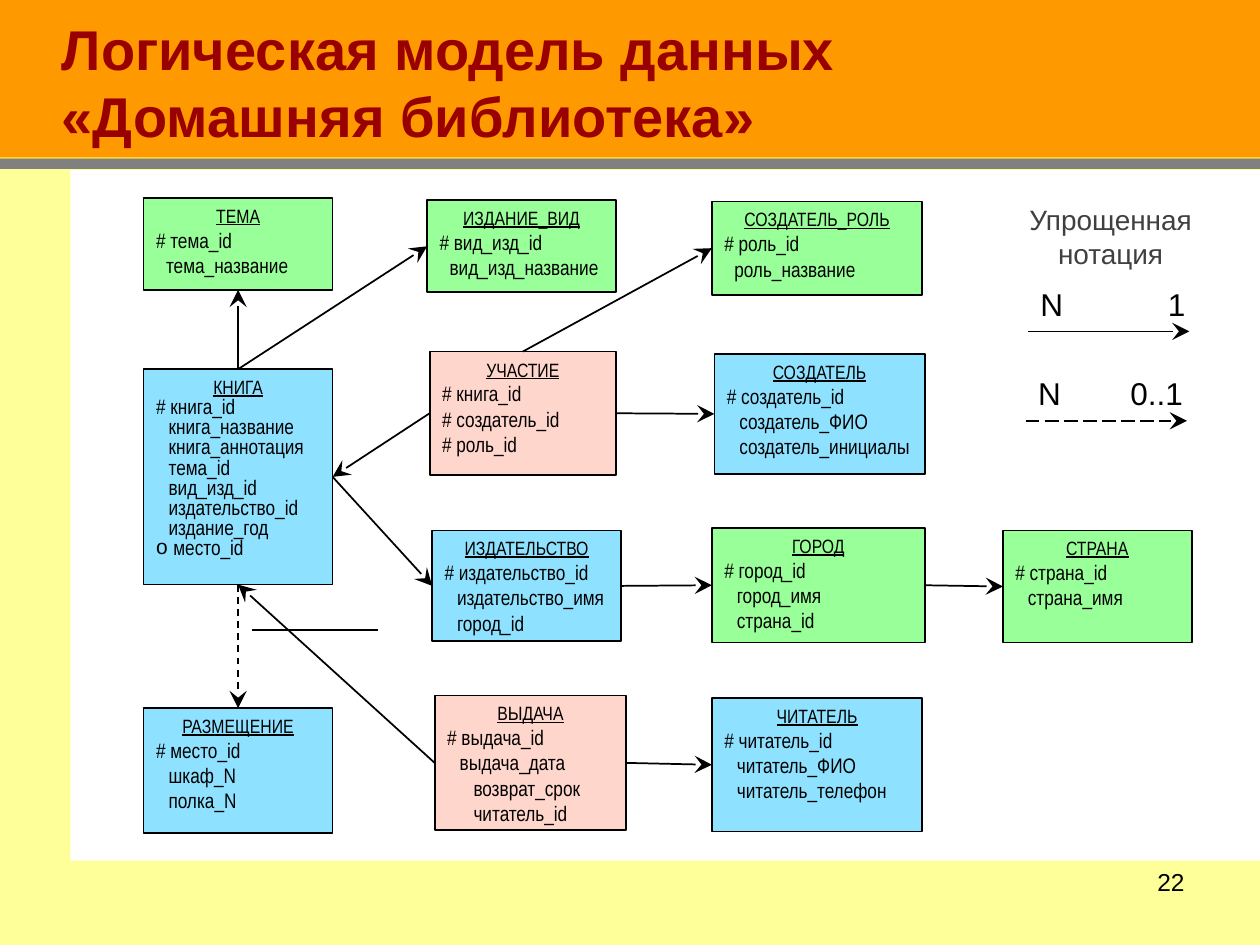
from lxml import etree
from pptx import Presentation, util as u
from pptx.dml.color import RGBColor
from pptx.enum import dml, shapes, text
from pptx.oxml.ns import qn

Inches, Pt = u.Inches, u.Pt
COLORS = {
    "orange": "FF9900", "yellow": "FFFF99", "gold": "FFCC00", "gray": "808080",
    "white": "FFFFFF", "black": "000000", "maroon": "990000", "dark": "404040",
    "blue": "8FE2FF", "green": "99FF99", "pink": "FFD6CC",
}
TOP, LEFT, BOTTOM, RIGHT = range(4)  # connection sites of a rectangle


def rgb(name):
    return RGBColor.from_string(COLORS[name])


def add_span(para, words, size, font="Arial", color="black"):
    span = para.add_run()
    span.text = words
    span.font.size, span.font.name = Pt(size), font
    span.font.color.rgb = rgb(color)
    return span


deck = Presentation()
deck.slide_width, deck.slide_height = Inches(10), Inches(7.5)
page = deck.slides.add_slide(deck.slide_layouts[5])
page.background.fill.solid()
page.background.fill.fore_color.rgb = rgb("yellow")

# Bands and the white working area
for left, top, width, height, color in [
    (0, 0, 10, 1.25, "orange"),
    (0, 1.25, 10, 0.01, "gold"),
    (0, 1.26, 10, 0.08, "gray"),
    (0.56, 1.35, 9.44, 5.48, "white"),
]:
    band = page.shapes.add_shape(shapes.MSO_SHAPE.RECTANGLE, Inches(left), Inches(top),
                                 Inches(width), Inches(height))
    band.shadow.inherit = False
    band.fill.solid()
    band.fill.fore_color.rgb = rgb(color)
    band.line.fill.background()

title = page.shapes.title
page.shapes._spTree.append(title._element)  # above the bands
title.left, title.top = Inches(0), Inches(0.06)
title.width, title.height = Inches(10), Inches(1.17)
title.fill.solid()
title.fill.fore_color.rgb = rgb("orange")
title.text_frame.vertical_anchor = text.MSO_ANCHOR.BOTTOM
title.text_frame.auto_size = text.MSO_AUTO_SIZE.NONE
para = title.text_frame.paragraphs[0]
para.alignment = text.PP_ALIGN.LEFT
para._p.get_or_add_pPr().set("marL", str(Inches(0.39)))
add_span(para, "Логическая модель данных", 32, color="maroon").font.bold = True
para.add_line_break()
add_span(para, "«Домашняя библиотека»", 32, color="maroon").font.bold = True

# Entities: name, left, top, width, height, colour, [(indent, attribute)]
entities = [
    ("КНИГА", 1.14, 2.93, 1.5, 1.71, "blue", [
        (0, "# книга_id"), (0.1, "книга_название"), (0.1, "книга_аннотация"),
        (0.1, "тема_id"), (0.1, "вид_изд_id"), (0.1, "издательство_id"),
        (0.1, "издание_год"), (0.1, " место_id")]),
    ("ЧИТАТЕЛЬ", 5.65, 5.54, 1.67, 1.06, "blue", [
        (0, "# читатель_id"), (0.1, "читатель_ФИО"), (0.1, "читатель_телефон")]),
    ("ИЗДАТЕЛЬСТВО", 3.43, 4.21, 1.5, 0.88, "blue", [
        (0, "# издательство_id"), (0.1, "издательство_имя"), (0.1, "город_id")]),
    ("РАЗМЕЩЕНИЕ", 1.14, 5.62, 1.5, 0.99, "blue", [
        (0, "# место_id"), (0.1, "шкаф_N"), (0.1, "полка_N")]),
    ("СОЗДАТЕЛЬ_РОЛЬ", 5.65, 1.6, 1.67, 0.74, "green", [
        (0, "# роль_id"), (0.08, "роль_название")]),
    ("ИЗДАНИЕ_ВИД", 3.39, 1.59, 1.5, 0.73, "green", [
        (0, "# вид_изд_id"), (0.08, "вид_изд_название")]),
    ("ТЕМА", 1.14, 1.57, 1.5, 0.73, "green", [
        (0, "# тема_id"), (0.08, "тема_название")]),
    ("ГОРОД", 5.65, 4.19, 1.69, 0.91, "green", [
        (0, "# город_id"), (0.1, "город_имя"), (0.1, "страна_id")]),
    ("СТРАНА", 7.96, 4.21, 1.5, 0.89, "green", [
        (0, "# страна_id"), (0.1, "страна_имя")]),
    ("УЧАСТИЕ", 3.41, 2.79, 1.48, 0.98, "pink", [
        (0, "# книга_id"), (0, "# создатель_id"), (0, "# роль_id")]),
    ("СОЗДАТЕЛЬ", 5.67, 2.81, 1.67, 0.95, "blue", [
        (0, "# создатель_id"), (0.1, "создатель_ФИО"), (0.1, "создатель_инициалы")]),
    ("ВЫДАЧА", 3.45, 5.52, 1.52, 1.07, "pink", [
        (0, "# выдача_id"), (0.1, "выдача_дата"), (0.21, "возврат_срок"),
        (0.21, "читатель_id")]),
]
boxes = {}
for name, left, top, width, height, color, attributes in entities:
    box = page.shapes.add_shape(shapes.MSO_SHAPE.RECTANGLE, Inches(left), Inches(top),
                                Inches(width), Inches(height))
    boxes[name] = box
    box.shadow.inherit = False
    box.fill.solid()
    box.fill.fore_color.rgb = rgb(color)
    box.line.color.rgb, box.line.width = rgb("black"), Pt(1)
    frame = box.text_frame
    frame.word_wrap = True
    frame.vertical_anchor = text.MSO_ANCHOR.TOP
    para = frame.paragraphs[0]
    para.alignment = text.PP_ALIGN.CENTER
    add_span(para, name, 11, "Arial Narrow").font.underline = True
    for indent, attribute in attributes:
        para = frame.add_paragraph()
        para.alignment = text.PP_ALIGN.LEFT
        para._p.get_or_add_pPr().set("marL", str(Inches(indent)))
        if name == "КНИГА":
            para.line_spacing = 0.8
        add_span(para, attribute, 12, "Arial Narrow")

# The optional attribute of the book, its last one, is marked with "o"
props = boxes["КНИГА"].text_frame.paragraphs[-1]._p.get_or_add_pPr()
props.set("indent", str(Inches(-0.1)))
etree.SubElement(props, qn("a:buFont")).set("typeface", "Arial")
etree.SubElement(props, qn("a:buChar")).set("char", "o")

# Relations run from the N side to the 1 side
arrows = []
for source, start, target, end in [
    ("КНИГА", TOP, "ТЕМА", BOTTOM),
    ("КНИГА", TOP, "ИЗДАНИЕ_ВИД", LEFT),
    ("КНИГА", RIGHT, "ИЗДАТЕЛЬСТВО", LEFT),
    ("КНИГА", BOTTOM, "РАЗМЕЩЕНИЕ", TOP),
    ("УЧАСТИЕ", TOP, "СОЗДАТЕЛЬ_РОЛЬ", LEFT),
    ("УЧАСТИЕ", LEFT, "КНИГА", RIGHT),
    ("УЧАСТИЕ", RIGHT, "СОЗДАТЕЛЬ", LEFT),
    ("ИЗДАТЕЛЬСТВО", RIGHT, "ГОРОД", LEFT),
    ("ГОРОД", RIGHT, "СТРАНА", LEFT),
    ("ВЫДАЧА", LEFT, "КНИГА", BOTTOM),
    ("ВЫДАЧА", RIGHT, "ЧИТАТЕЛЬ", LEFT),
]:
    arrow = page.shapes.add_connector(shapes.MSO_CONNECTOR.STRAIGHT, 0, 0, 0, 0)
    arrow.begin_connect(boxes[source], start)
    arrow.end_connect(boxes[target], end)
    dash = dml.MSO_LINE.DASH if target == "РАЗМЕЩЕНИЕ" else None
    arrows.append((arrow, dash))

# Legend: N and its counterpart stand over each sample arrow
for left, top, many, one, dash in [
    (8.16, 2.21, "N", "1", None),
    (8.14, 2.92, "N", "0..1", dml.MSO_LINE.LONG_DASH),
]:
    arrow = page.shapes.add_connector(shapes.MSO_CONNECTOR.STRAIGHT, Inches(left),
                                      Inches(top + 0.42), Inches(left + 1.28), Inches(top + 0.42))
    arrows.append((arrow, dash))
    label = page.shapes.add_textbox(Inches(left), Inches(top), Inches(1.5), Inches(0.4))
    label.text_frame.word_wrap = True
    para = label.text_frame.paragraphs[0]
    tabs = etree.SubElement(para._p.get_or_add_pPr(), qn("a:tabLst"))
    etree.SubElement(tabs, qn("a:tab"), pos=str(Inches(1.15)), algn="r")
    add_span(para, f"{many}\t{one}", 18)

for arrow, dash in arrows:
    arrow.line.color.rgb, arrow.line.width = rgb("black"), Pt(1)
    if dash:
        arrow.line.dash_style = dash
    etree.SubElement(arrow.line._get_or_add_ln(), qn("a:tailEnd"),
                     type="stealth", w="lg", len="lg")
    etree.SubElement(arrow._element.spPr, qn("a:effectLst"))

for left, top, width, height, words, size, color, align in [
    (8, 1.56, 1.63, 0.64, "Упрощенная нотация", 16, "dark", text.PP_ALIGN.CENTER),
    (7.17, 6.83, 2.33, 0.52, "22", 14, "black", text.PP_ALIGN.RIGHT),
]:
    label = page.shapes.add_textbox(Inches(left), Inches(top), Inches(width), Inches(height))
    label.text_frame.word_wrap = True
    para = label.text_frame.paragraphs[0]
    para.alignment = align
    add_span(para, words, size, color=color)

# Exclusive arc across two relations of the book, sampled from Bezier curves
curves = [
    [(1.63, 5.07), (1.74, 5.18), (1.84, 5.28), (1.99, 5.26)],
    [(1.99, 5.26), (2.15, 5.24), (2.47, 4.99), (2.61, 4.9)],
]
points = []
for curve in curves:
    for step in range(1, 13):
        t = step / 12
        weights = ((1 - t) ** 3, 3 * t * (1 - t) ** 2, 3 * t * t * (1 - t), t ** 3)
        points.append([sum(w * point[axis] for w, point in zip(weights, curve))
                       for axis in (0, 1)])
builder = page.shapes.build_freeform(*curves[0][0], scale=Inches(1))
builder.add_line_segments(points, close=False)
arc = builder.convert_to_shape()
arc.shadow.inherit = False
arc.fill.background()
arc.line.color.rgb, arc.line.width = rgb("black"), Pt(1)

deck.save("out.pptx")
